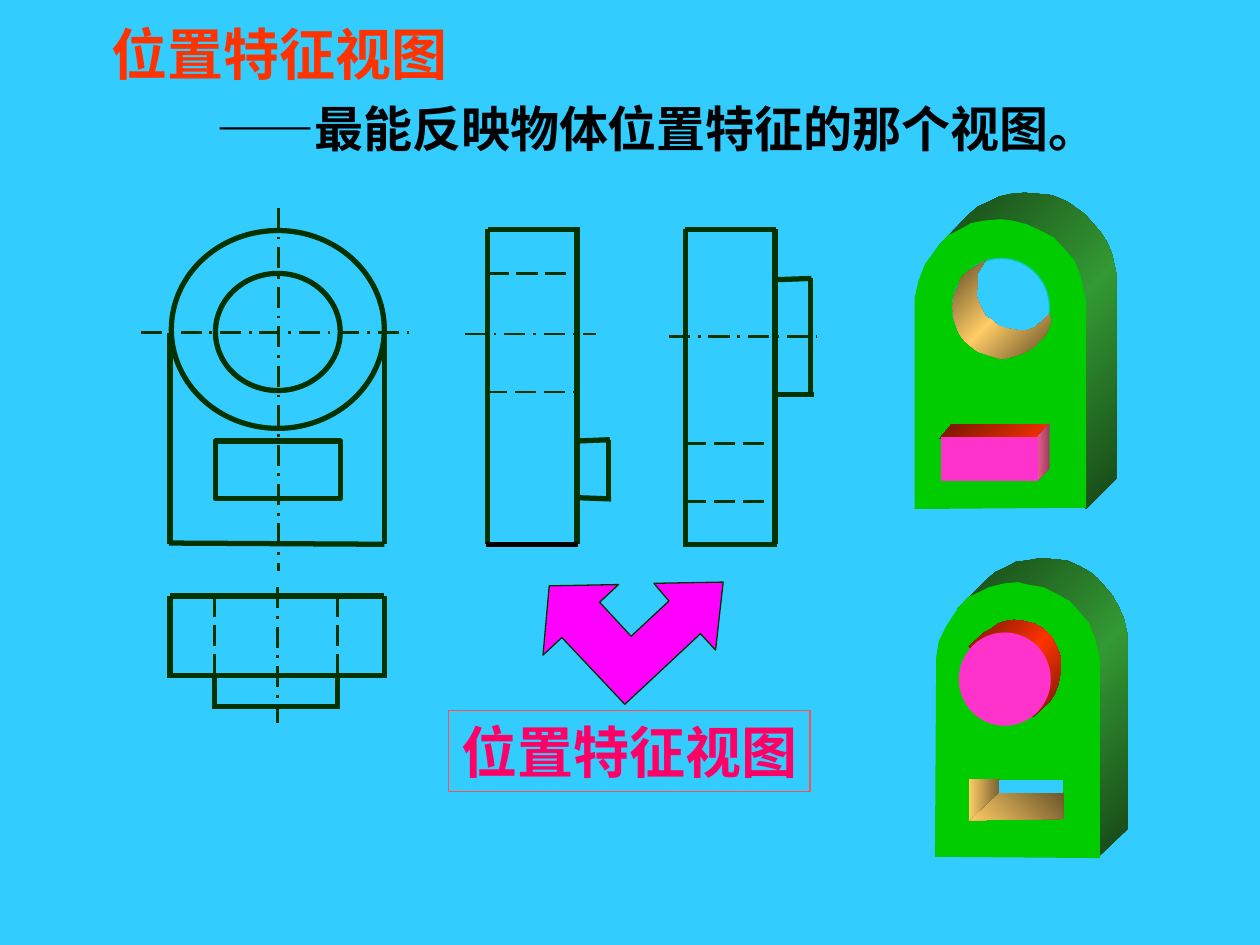
"""Build the slide on position feature views; GRID units are 1/100 of 72 points."""
from lxml import etree
from pptx import Presentation, util as u
from pptx.dml.color import RGBColor
from pptx.enum import dml, shapes, text
from pptx.oxml.ns import qn

GRID = 0.72
FONT = "Noto Sans CJK SC"
HEX = dict(sky="33CCFF", ink="003300", black="000000", title="FF3300", label="FF0066",
           frame="FF5050", arrow="FF00FF", face="00CC00", pink="FF33CC", ring="00CC99",
           moss="174617", leaf="339933", red="FF3300", wine="751700", sand="FFCC66",
           umber="685329", brown="755E2F", bark="634F27", plum="9F3F5F", rose="FF6699")
DASH = dict(axis=dml.MSO_LINE.LONG_DASH_DOT, hidden=dml.MSO_LINE.LONG_DASH)
SIDE = (("moss", "leaf", "moss"), 225)

FRONT = [
    ("oval", (136, 183, 169, 157)), ("axis", (221, 165, 221, 453)),
    ("oval", (171, 217, 99, 93)), ("edge", (135, 264, 135, 432)),
    ("edge", (305, 263, 305, 432)), ("edge", (134, 431, 305, 432)),
    ("rect", (171, 350, 99, 46)), ("axis", (112, 264, 328, 264))]
TOP = [
    ("axis", (220, 466, 220, 574)), ("edge", (135, 473, 305, 473)),
    ("edge", (135, 473, 135, 538)), ("edge", (135, 536, 305, 536)),
    ("edge", (305, 473, 305, 538)), ("hidden", (170, 473, 170, 536)),
    ("hidden", (268, 473, 268, 534)), ("edge", (170, 538, 170, 563)),
    ("edge", (170, 561, 268, 561)), ("edge", (268, 536, 268, 563))]
RIGHT = [
    ("edge", (544, 182, 544, 434)), ("edge", (544, 182, 616, 182)),
    ("edge", (615, 182, 615, 432)), ("edge", (617, 432, 544, 432)),
    ("axis", (531, 267, 648, 267)), ("edge", (643, 313, 643, 221)),
    ("edge", (644, 221, 616, 222)), ("edge", (646, 313, 617, 313)),
    ("hidden", (544, 352, 616, 352)), ("hidden", (544, 398, 616, 398))]
LEFT = [
    ("edge", (387, 182, 387, 432)), ("edge", (387, 182, 460, 182)),
    ("edge", (458, 182, 458, 432)), ("axis", (369, 265, 473, 265)),
    ("hidden", (386, 311, 458, 311)), ("hidden", (387, 217, 456, 217)),
    ("edge", (483, 398, 483, 349)), ("edge", (485, 396, 458, 395)),
    ("edge", (484, 349, 458, 350)), ("base", (386, 432, 459, 432))]

PEG = [
    (SIDE, [(873, 679), (895, 658), (895, 505), (892, 491), (888, 482), (883, 473),
            (878, 467), (871, 459), (865, 454), (858, 450), (847, 445), (837, 444),
            (826, 443), (815, 445), (806, 446), (799, 450), (790, 454), (783, 460),
            (760, 483), (839, 485), (863, 536), (867, 677)]),
    ("face", [(742, 680), (873, 681), (873, 524), (869, 506), (864, 494), (858, 487),
              (849, 477), (840, 472), (828, 466), (816, 464), (808, 462), (797, 463),
              (785, 466), (777, 470), (768, 474), (760, 483), (751, 497), (745, 509),
              (743, 522)]),
    ((("wine", "red", "wine"), 225),
     [(769, 513), (781, 502), (787, 499), (792, 495), (798, 493), (805, 492), (813, 493),
      (821, 495), (828, 499), (835, 506), (839, 514), (842, 522), (842, 532), (840, 543),
      (837, 551), (833, 557), (820, 569)]),
    ("pink", (761, 502, 73, 74)),
    ((("umber", "sand"), 135), [(769, 651), (844, 650), (844, 627), (793, 627)]),
    ((("brown", "sand"), 180), [(769, 651), (769, 618), (794, 618), (794, 628)]),
    ("sky", [(793, 619), (844, 619), (844, 629), (793, 629)])]
HOLE = [
    (SIDE, [(862, 404), (886, 380), (886, 218), (883, 203), (879, 193), (874, 185),
            (868, 178), (861, 170), (854, 165), (847, 160), (835, 155), (825, 154),
            (813, 153), (802, 154), (793, 156), (785, 160), (776, 164), (768, 171),
            (745, 195), (827, 196), (853, 250), (857, 399)]),
    ("face", [(726, 404), (862, 403), (862, 239), (858, 220), (853, 207), (847, 200),
              (837, 189), (828, 184), (815, 178), (803, 175), (794, 174), (782, 175),
              (771, 177), (762, 182), (752, 187), (744, 196), (734, 210), (729, 223),
              (726, 236)]),
    ("sky", (756, 205, 77, 78), "ring"),
    ((("bark", "sand", "bark"), 225),
     [(782, 207), (775, 211), (770, 214), (763, 220), (760, 228), (757, 235), (756, 244),
      (757, 253), (760, 262), (762, 266), (766, 271), (772, 276), (776, 279), (785, 282),
      (795, 285), (804, 283), (813, 280), (820, 276), (826, 270), (831, 264), (834, 255),
      (833, 249), (827, 255), (821, 260), (815, 262), (807, 262), (801, 261), (793, 259),
      (787, 254), (782, 251), (778, 243), (775, 235), (776, 224), (776, 217)]),
    ((("red", "wine"), 225), [(746, 348), (755, 337), (833, 337), (818, 352)]),
    ((("plum", "rose"), 180), [(833, 336), (833, 372), (823, 382), (820, 351)]),
    ("pink", [(747, 347), (747, 382), (824, 382), (824, 347)])]
ARROW = [("arrow", [(436, 465), (491, 464), (476, 478), (501, 505), (531, 477), (519, 463),
                    (574, 462), (568, 516), (556, 503), (496, 559), (446, 506), (431, 520)],
          "ink")]

deck = Presentation()
deck.slide_width, deck.slide_height = u.Pt(720), u.Pt(540)
page = deck.slides.add_slide(deck.slide_layouts[6])
tree = page.shapes


def rgb(name):
    return RGBColor.from_string(HEX[name])


def place(box):
    return [u.Pt(n * GRID) for n in box]


def stroke(line, color, width):
    line.color.rgb = rgb(color)
    line.width = u.Pt(width)


def paint(item, fill):
    if isinstance(fill, str):
        item.fill.solid()
        item.fill.fore_color.rgb = rgb(fill)
        return
    names, angle = fill
    item.fill.gradient()
    item.fill.gradient_angle = 360 - angle
    stops = next(item._element.iter(qn("a:gsLst")))
    for stop in list(stops):
        stops.remove(stop)
    for i, name in enumerate(names):
        stop = etree.SubElement(stops, qn("a:gs"), pos=str(100000 * i // (len(names) - 1)))
        etree.SubElement(stop, qn("a:srgbClr"), val=HEX[name])


def draw(parts):
    for kind, box in parts:
        if kind in ("oval", "rect"):
            form = shapes.MSO_SHAPE.OVAL if kind == "oval" else shapes.MSO_SHAPE.RECTANGLE
            item = tree.add_shape(form, *place(box))
            item.shadow.inherit = False
            item.fill.background()
        else:
            item = tree.add_connector(shapes.MSO_CONNECTOR.STRAIGHT, *place(box))
            etree.SubElement(item._element.spPr, qn("a:effectLst"))
        stroke(item.line, "black" if kind == "base" else "ink", 1.5 if kind in DASH else 3)
        if kind in DASH:
            item.line.dash_style = DASH[kind]


def model(parts):
    for fill, pts, *edge in parts:
        if isinstance(pts, tuple):
            item = tree.add_shape(shapes.MSO_SHAPE.OVAL, *place(pts))
        else:
            pen = tree.build_freeform(*pts[0], scale=u.Pt(100 * GRID) / 100)
            pen.add_line_segments(pts[1:], close=True)
            item = pen.convert_to_shape()
        item.shadow.inherit = False
        paint(item, fill)
        if edge:
            stroke(item.line, edge[0], 0.75)
        else:
            item.line.fill.background()


def write(words, box, size, color, align=text.PP_ALIGN.LEFT, frame=None):
    item = tree.add_textbox(*place(box))
    if frame:
        stroke(item.line, frame, 0.75)
    body = item.text_frame
    body.word_wrap = False
    body.vertical_anchor = text.MSO_ANCHOR.MIDDLE
    para = body.paragraphs[0]
    para.alignment = align
    run = para.add_run()
    run.text = words
    run.font.size, run.font.bold, run.font.name = u.Pt(size), True, FONT
    run.font.color.rgb = rgb(color)
    etree.SubElement(run.font._element, qn("a:ea"), typeface=FONT)


page.background.fill.solid()
page.background.fill.fore_color.rgb = rgb("sky")
write("——最能反映物体位置特征的那个视图。", (162, 73, 728, 57), 28, "black")
write("位置特征视图", (79, 10, 287, 64), 32, "title")
for view in (FRONT, TOP, RIGHT, LEFT):
    draw(view)
for solid in (PEG, HOLE, ARROW):
    model(solid)
write("位置特征视图", (356, 564, 287, 64), 32, "label",
      align=text.PP_ALIGN.CENTER, frame="frame")
deck.save("out.pptx")
